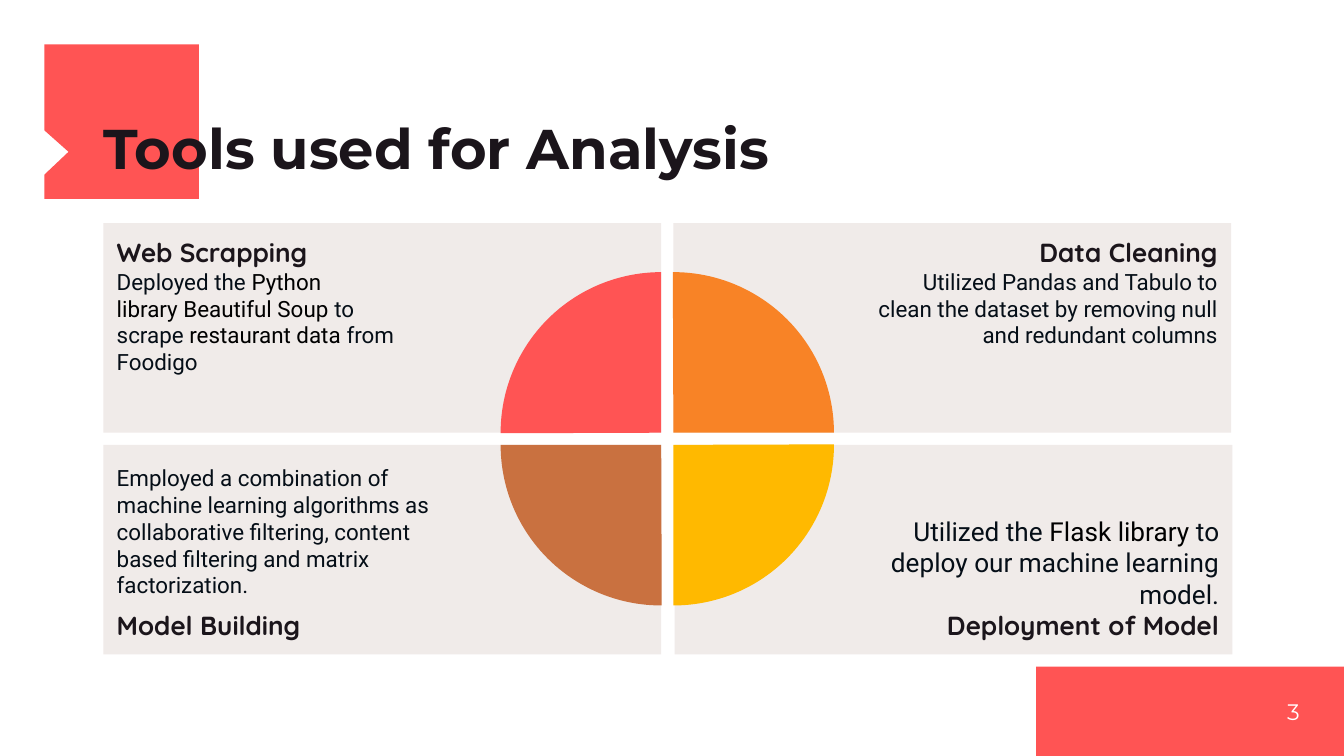
from pptx import Presentation
from pptx.dml.color import RGBColor
from pptx.enum.shapes import MSO_SHAPE as Shape
from pptx.enum.text import MSO_ANCHOR as Anchor, PP_ALIGN as Align
from pptx.util import Inches, Pt

COLORS = {
    "red": "FF5454", "orange": "F88326", "yellow": "FFB900", "brown": "C97140",
    "panel": "F0EBE9", "heading": "1B151B", "body": "050E17",
    "black": "000000", "white": "FFFFFF",
}

TITLE = "Tools used for Analysis"
PAGE_NUMBER = "3"
NBSP = chr(160)
HEAD = dict(font="Quicksand", size=14, color="heading", bold=True)
BODY = dict(font="Roboto", size=12, color="body")
LARGE = dict(BODY, size=14)

PANELS = [
    dict(col=0, row=0, wedge="red", turn=0, paragraphs=[
        [("Web Scrapping", HEAD)],
        [(f"Deployed the{NBSP}", BODY),
         (f"Python library{NBSP}Beautiful Soup", dict(BODY, color="black")),
         (f"{NBSP}to scrape{NBSP}", BODY),
         ("restaurant data", dict(BODY, color="black")),
         (f"{NBSP}from Foodigo", BODY)],
    ]),
    dict(col=1, row=0, wedge="orange", turn=90, paragraphs=[
        [("Data Cleaning", HEAD)],
        [("Utilized Pandas and Tabulo to clean the dataset by removing null "
          "and redundant columns", BODY)],
    ]),
    dict(col=1, row=1, wedge="yellow", turn=180, shift=0.01, paragraphs=[
        [(f"Utilized the{NBSP}", LARGE),
         ("Flask library", dict(LARGE, color="black")),
         (f"{NBSP}to deploy our machine learning model.", LARGE)],
        [("Deployment of Model", HEAD)],
    ]),
    dict(col=0, row=1, wedge="brown", turn=270, gap=6, paragraphs=[
        [("Employed a combination of machine learning algorithms as "
          "collaborative filtering, content based filtering and matrix "
          "factorization.", BODY)],
        [("Model Building", HEAD)],
    ]),
]

SLIDE_W = 10
SLIDE_H = SLIDE_W * 9 / 16
LEFT, TOP = 0.77, 1.66
PANEL_W, PANEL_H, GUTTER = 4.15, 1.56, 0.09
PIE_SIZE = 2.39
FOOTER_TOP = 4.96
FOOTER_H = SLIDE_H - FOOTER_TOP
NOTCHED_SQUARE = [(0.33, 0.33), (1.48, 0.33), (1.48, 1.48), (0.33, 1.48),
                  (0.33, 1.3), (0.51, 1.13), (0.33, 0.97)]


def rgb(name):
    return RGBColor.from_string(COLORS[name])


def paint(sp, color):
    sp.shadow.inherit = False
    sp.fill.solid()
    sp.fill.fore_color.rgb = rgb(color)
    sp.line.fill.background()


def add_block(slide, kind, box, color):
    sp = slide.shapes.add_shape(kind, *map(Inches, box))
    paint(sp, color)
    return sp


def set_text(sp, paragraphs, align=Align.LEFT, anchor=Anchor.TOP,
             insets=(0, 0, 0, 0), spacing=None, gap=0):
    tf = sp.text_frame
    tf.word_wrap = True
    tf.vertical_anchor = anchor
    tf.margin_left, tf.margin_top, tf.margin_right, tf.margin_bottom = map(Inches, insets)
    for i, runs in enumerate(paragraphs):
        p = tf.add_paragraph() if i else tf.paragraphs[0]
        p.alignment = align
        if spacing:
            p.line_spacing = spacing
        if i and gap:
            p.space_before = Pt(gap)
        for text, style in runs:
            r = p.add_run()
            r.text = text
            r.font.name = style["font"]
            r.font.size = Pt(style["size"])
            r.font.bold = style.get("bold", False)
            r.font.color.rgb = rgb(style["color"])


def add_panel(slide, panel):
    right, lower = panel["col"], panel["row"]
    box = (LEFT + right * (PANEL_W + GUTTER) + panel.get("shift", 0),
           TOP + lower * (PANEL_H + GUTTER), PANEL_W, PANEL_H)
    sp = add_block(slide, Shape.RECTANGLE, box, "panel")
    set_text(sp, panel["paragraphs"],
             align=Align.RIGHT if right else Align.LEFT,
             anchor=Anchor.BOTTOM if lower else Anchor.TOP,
             insets=(1.5, 0.1, 0.1, 0.1) if right else (0.1, 0.1, 1.5, 0.1),
             gap=panel.get("gap", 0))


def add_wedge(slide, panel):
    center_x = LEFT + PANEL_W + panel["col"] * GUTTER
    center_y = TOP + PANEL_H + panel["row"] * GUTTER
    box = (center_x - PIE_SIZE / 2, center_y - PIE_SIZE / 2, PIE_SIZE, PIE_SIZE)
    sp = add_block(slide, Shape.PIE, box, panel["wedge"])
    sp.adjustments[0], sp.adjustments[1] = 107.89, 162
    sp.rotation = panel["turn"]


def main():
    prs = Presentation()
    prs.slide_width, prs.slide_height = Inches(SLIDE_W), Inches(SLIDE_H)
    slide = prs.slides.add_slide(prs.slide_layouts[6])

    points = [(Inches(x), Inches(y)) for x, y in NOTCHED_SQUARE]
    outline = slide.shapes.build_freeform(*points[0])
    outline.add_line_segments(points[1:], close=True)
    paint(outline.convert_to_shape(), "red")
    add_block(slide, Shape.RECTANGLE, (7.71, FOOTER_TOP, 2.29, FOOTER_H), "red")

    title = slide.shapes.add_textbox(*map(Inches, (LEFT, 0.91, 5.61, 0.43)))
    title_style = dict(font="Montserrat", size=30, color="heading", bold=True)
    set_text(title, [[(TITLE, title_style)]], anchor=Anchor.BOTTOM, spacing=0.8)

    number = slide.shapes.add_textbox(*map(Inches, (9, FOOTER_TOP, 0.67, FOOTER_H)))
    number_style = dict(font="Montserrat", size=12, color="white")
    set_text(number, [[(PAGE_NUMBER, number_style)]], align=Align.RIGHT,
             anchor=Anchor.MIDDLE)

    for panel in PANELS:
        add_panel(slide, panel)
    for panel in PANELS:
        add_wedge(slide, panel)

    prs.save("out.pptx")


if __name__ == "__main__":
    main()
